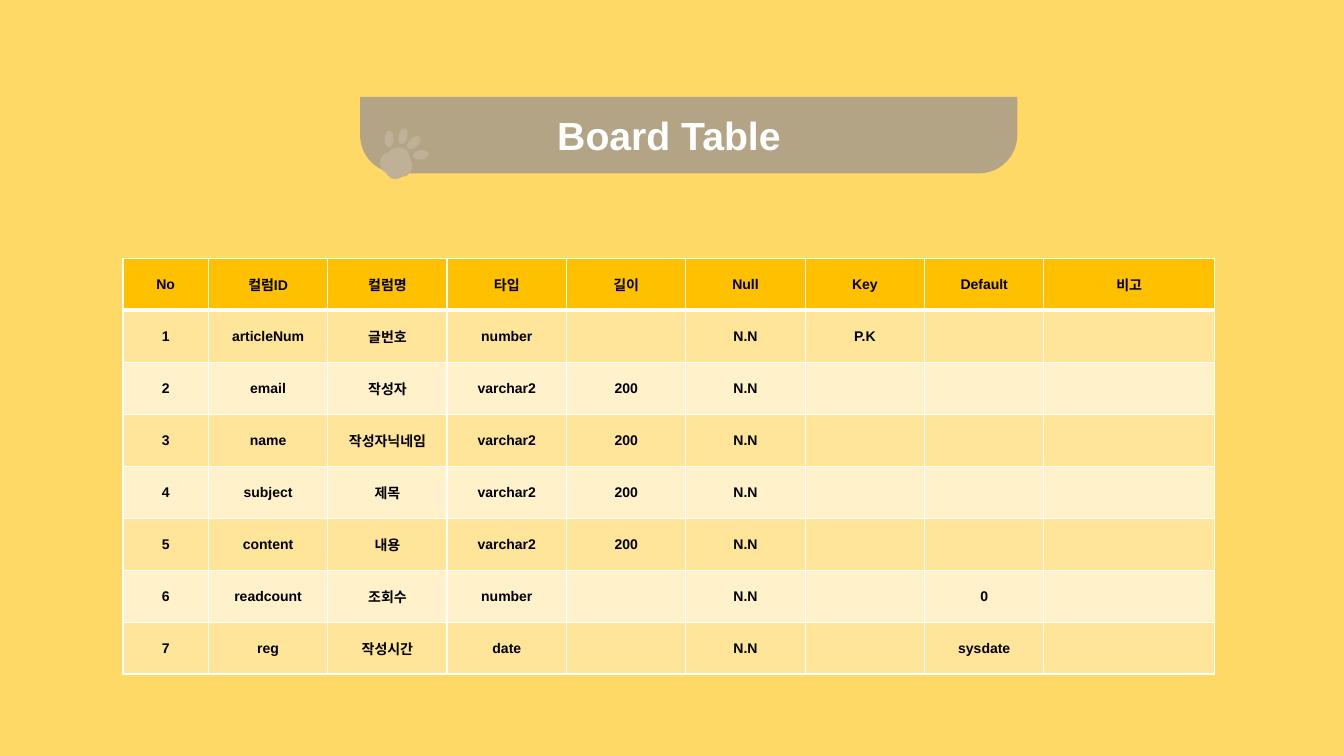
import math

import pptx
import pptx.dml.color
import pptx.enum.shapes
import pptx.enum.text
import pptx.oxml.ns
import pptx.util
from lxml import etree

FONT = "Arial"
COLORS = {
    "page": "FFD966", "banner": "B4A486", "paw": "BFB198", "title": "FFFFFF",
    "header": "FFC000", "odd": "FEE599", "even": "FFF2CB",
    "border": "FFFFFF", "text": "000000",
}
# Regions as percentages of the slide: left, top, width, height
BANNER_BOX = (26.79, 12.8, 48.9, 10.13)
TABLE_BOX = (9.16, 34.15, 81.22, 55.05)

COLUMN_WEIGHTS = [5] + [7] * 7 + [10]
ROWS = [
    ("No", "컬럼ID", "컬럼명", "타입", "길이", "Null", "Key", "Default", "비고"),
    ("1", "articleNum", "글번호", "number", "", "N.N", "P.K", "", ""),
    ("2", "email", "작성자", "varchar2", "200", "N.N", "", "", ""),
    ("3", "name", "작성자닉네임", "varchar2", "200", "N.N", "", "", ""),
    ("4", "subject", "제목", "varchar2", "200", "N.N", "", "", ""),
    ("5", "content", "내용", "varchar2", "200", "N.N", "", "", ""),
    ("6", "readcount", "조회수", "number", "", "N.N", "", "0", ""),
    ("7", "reg", "작성시간", "date", "", "N.N", "", "sysdate", ""),
]

# Paw drawn on a grid 50 units high; toes are centre x, y, radii, tilt in degrees
PAW_UNITS = 50
TOES = [
    (40.5, 26.5, 7.8, 4.5, -10), (33.5, 14.5, 8, 4.6, -45),
    (9.2, 10.8, 4.5, 8, 0), (23, 8, 4.3, 8, 15),
]
PAD = [
    (19, 19), (23, 20), (27, 22), (29, 26), (30, 31), (32, 35), (32, 39),
    (30, 44), (26, 47.5), (22, 48), (20, 49.5), (16, 50.5), (12, 50), (8, 47),
    (6, 44), (3, 42), (1, 39), (0, 35), (1, 30), (3, 27), (6, 25), (9, 24),
    (10, 22), (14, 20),
]


def color(name):
    return pptx.dml.color.RGBColor.from_string(COLORS[name])


def paint(shape, name):
    shape.shadow.inherit = False
    shape.fill.solid()
    shape.fill.fore_color.rgb = color(name)
    shape.line.fill.background()


def style_text(para, size, name):
    para.alignment = pptx.enum.text.PP_ALIGN.CENTER
    for font in [para.font] + [span.font for span in para.runs]:
        font.name = FONT
        font.size = pptx.util.Pt(size)
        font.bold = True
        font.color.rgb = color(name)


def region(deck, shares):
    sizes = (deck.slide_width, deck.slide_height) * 2
    return [round(size * share / 100) for size, share in zip(sizes, shares)]


def toe_outline(x, y, radius_x, radius_y, tilt):
    cosine, sine = math.cos(math.radians(tilt)), math.sin(math.radians(tilt))
    points = []
    for step in range(24):
        angle = math.tau * step / 24
        along, across = radius_x * math.cos(angle), radius_y * math.sin(angle)
        points.append((x + along * cosine - across * sine,
                       y + along * sine + across * cosine))
    return points


def add_paw(shapes, left, top, height):
    unit = height / PAW_UNITS
    outlines = [
        [(round(left + x * unit), round(top + y * unit)) for x, y in outline]
        for outline in [PAD] + [toe_outline(*toe) for toe in TOES]
    ]
    builder = shapes.build_freeform(*outlines[0][0])
    for index, outline in enumerate(outlines):
        if index:
            builder.move_to(*outline[0])
        builder.add_line_segments(outline[1:], close=True)
    paint(builder.convert_to_shape(), "paw")


def add_banner(page, box, title):
    left, top, width, height = box
    shapes = page.shapes.add_group_shape().shapes

    # Plate with rounded lower corners
    plate = shapes.add_shape(
        pptx.enum.shapes.MSO_SHAPE.ROUND_2_SAME_RECTANGLE, *box)
    plate.adjustments[0] = 0.5
    plate.adjustments[1] = 0
    plate.rotation = 180
    paint(plate, "banner")

    # Title
    title_box = shapes.add_textbox(
        round(left + width * 0.28), round(top + height * 0.12),
        round(width * 0.38), round(height * 0.74))
    title_box.text_frame.word_wrap = True
    title_box.text_frame.text = title
    style_text(title_box.text_frame.paragraphs[0], 28, "title")

    # Paw ornament
    add_paw(shapes, left + width * 0.03, top + height * 0.41, height * 0.66)


def add_border(cell, side, points):
    properties = cell._tc.get_or_add_tcPr()
    line = etree.SubElement(properties, pptx.oxml.ns.qn("a:ln" + side),
                            w=str(pptx.util.Pt(points)))
    fill = etree.SubElement(line, pptx.oxml.ns.qn("a:solidFill"))
    etree.SubElement(fill, pptx.oxml.ns.qn("a:srgbClr"), val=COLORS["border"])


def format_cell(cell, text, row):
    # Borders, with a heavy rule under the header
    for side in "LRTB":
        heavy = (row, side) in [(0, "B"), (1, "T")]
        add_border(cell, side, 3 if heavy else 1)
    cell.fill.solid()
    cell.fill.fore_color.rgb = color(
        "header" if row == 0 else "odd" if row % 2 else "even")

    # Text
    cell.vertical_anchor = pptx.enum.text.MSO_ANCHOR.MIDDLE
    cell.margin_left = cell.margin_right = pptx.util.Inches(0.01)
    cell.margin_top = pptx.util.Inches(0.01)
    cell.margin_bottom = 0
    cell.text_frame.text = text
    style_text(cell.text_frame.paragraphs[0], 10, "text")


def add_column_table(page, box):
    width, height = box[2:]
    table = page.shapes.add_table(len(ROWS), len(COLUMN_WEIGHTS), *box).table
    for column, weight in zip(table.columns, COLUMN_WEIGHTS):
        column.width = round(width * weight / sum(COLUMN_WEIGHTS))
    for row, texts in enumerate(ROWS):
        table.rows[row].height = round(height / len(ROWS))
        for column, text in enumerate(texts):
            format_cell(table.cell(row, column), text, row)


def main():
    deck = pptx.Presentation()
    deck.slide_width = pptx.util.Inches(13.33)
    deck.slide_height = pptx.util.Inches(7.5)
    page = deck.slides.add_slide(deck.slide_layouts[6])
    page.background.fill.solid()
    page.background.fill.fore_color.rgb = color("page")
    add_column_table(page, region(deck, TABLE_BOX))
    add_banner(page, region(deck, BANNER_BOX), "Board Table")
    deck.save("out.pptx")


if __name__ == "__main__":
    main()
